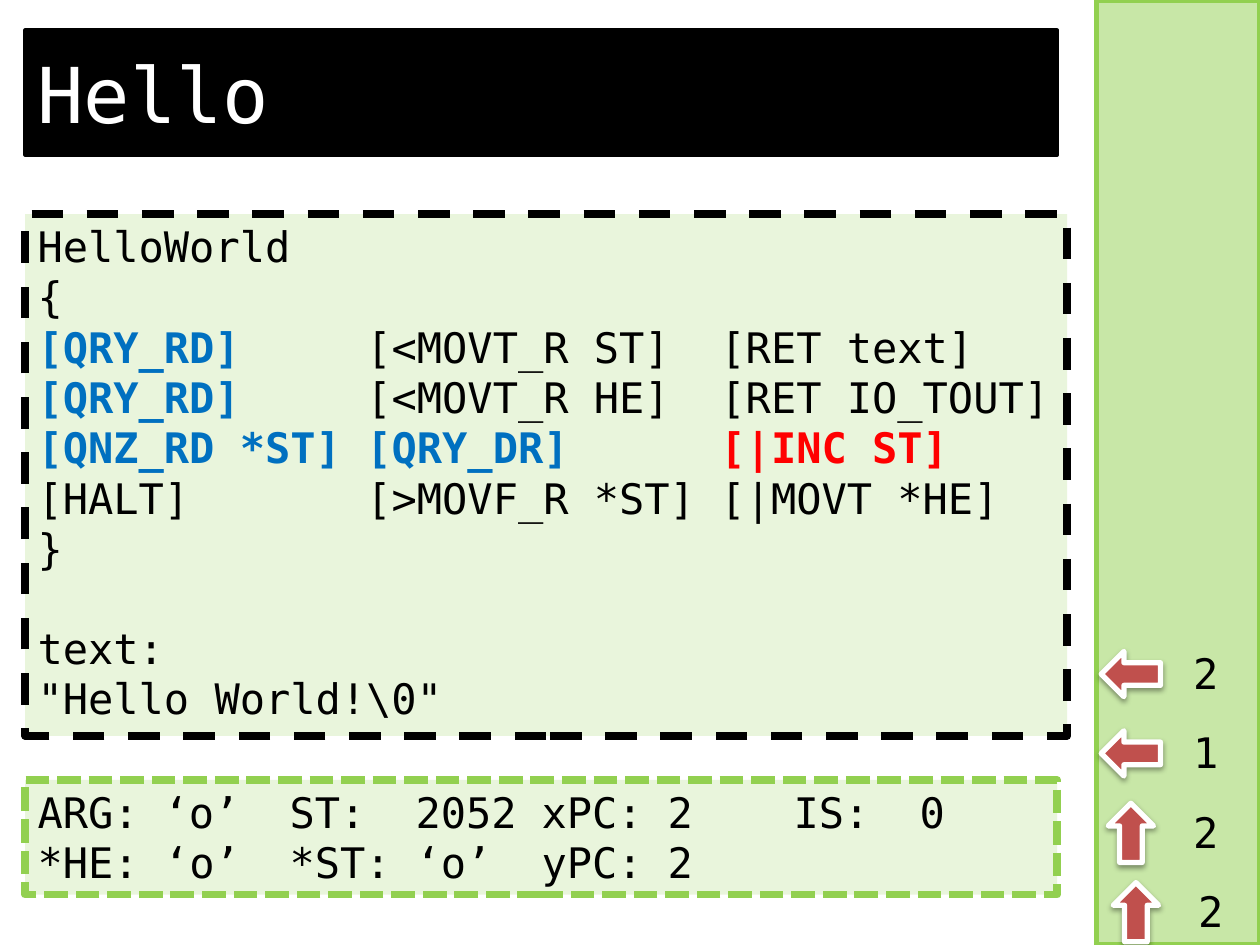
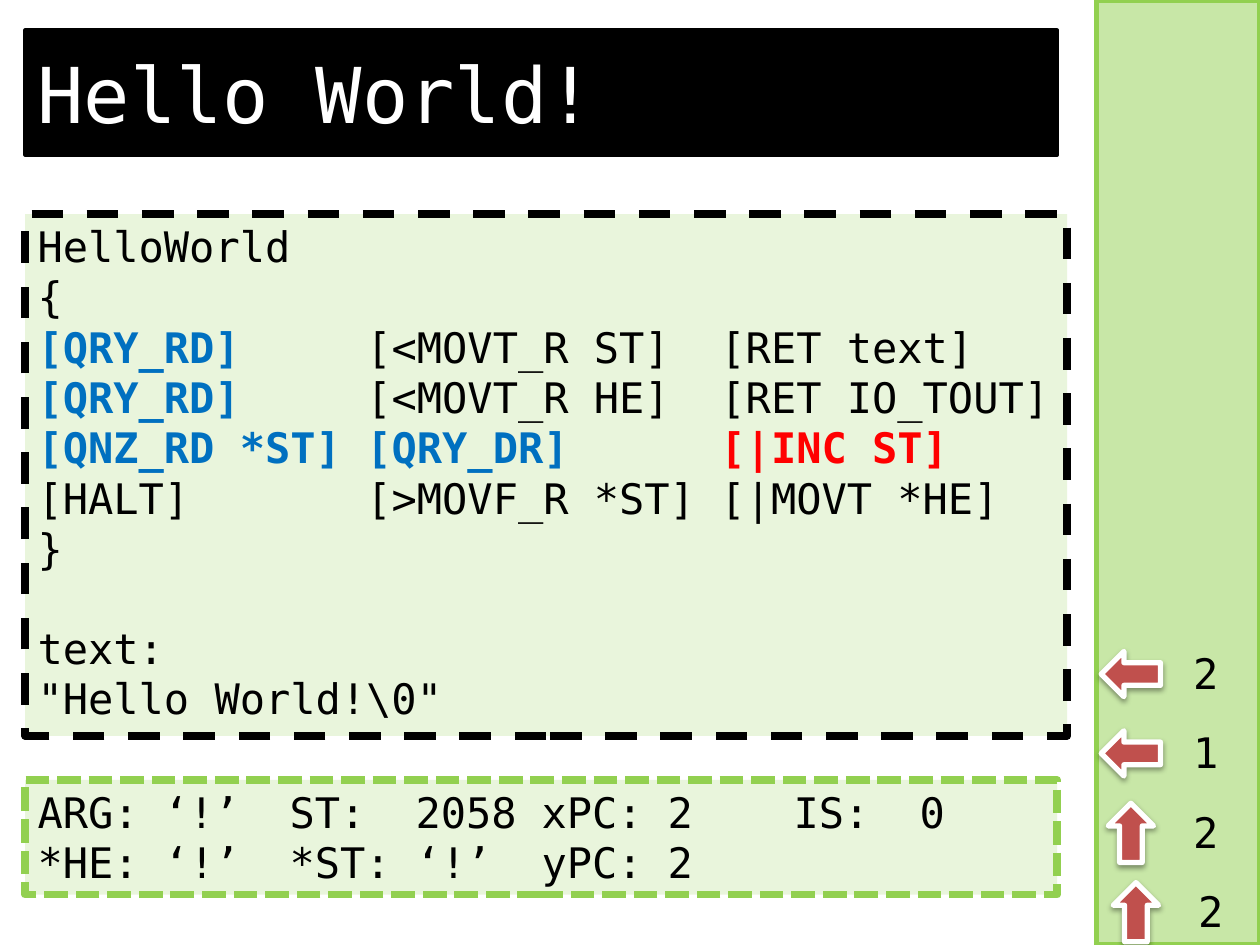
from pptx import Presentation
from pptx.dml.color import RGBColor
from pptx.enum.dml import MSO_LINE
from pptx.enum.shapes import MSO_SHAPE
from pptx.enum.text import MSO_ANCHOR, MSO_AUTO_SIZE, PP_ALIGN
from pptx.util import Inches, Pt
from lxml.etree import SubElement
from pptx.oxml.ns import qn

BLACK = RGBColor(0x00, 0x00, 0x00)
WHITE = RGBColor(0xFF, 0xFF, 0xFF)
GREEN = RGBColor(0x92, 0xD0, 0x50)
BLUE = RGBColor(0x00, 0x70, 0xC0)
RED = RGBColor(0xFF, 0x00, 0x00)
BRICK = RGBColor(0xC0, 0x50, 0x4D)
FONT = "DejaVu Sans Mono"
LEFT = 0.2
STOPS = (2.61, 5.42)

CODE = [
    [("HelloWorld", BLACK)],
    [("{", BLACK)],
    [("[QRY_RD]", BLUE), ("\t[<MOVT_R ST]\t[RET text]", BLACK)],
    [("[QRY_RD]", BLUE), ("\t[<MOVT_R HE]\t[RET IO_TOUT]", BLACK)],
    [("[QNZ_RD *ST]\t[QRY_DR]", BLUE), ("\t[|INC ST]", RED)],
    [("[HALT]\t[>MOVF_R *ST]\t[|MOVT *HE]", BLACK)],
    [("}", BLACK)],
    [("text:", BLACK)],
    [('"Hello World!\\0"', BLACK)],
]
STATES = [("Hello", "o", 2052), ("Hello World!", "!", 2058)]
MOVES = [(8.74, "2", 0), (8.74, "1", 0), (8.74, "2", 90), (8.78, "2", 90)]


def draw(shapes, kind, at, fill, line, width, alpha=100):
    shape = shapes.add_shape(kind, *[Inches(n) for n in at])
    shape.shadow.inherit = False
    shape.fill.solid()
    shape.fill.fore_color.rgb = fill
    if alpha < 100:
        color = shape.fill._xPr.find(qn("a:solidFill"))[0]
        SubElement(color, qn("a:alpha"), val=str(alpha * 1000))
    shape.line.color.rgb = line
    shape.line.width = Pt(width)
    shape.text_frame.word_wrap = True
    shape.text_frame.vertical_anchor = MSO_ANCHOR.TOP
    return shape


def write(par, runs, size=24, stops=()):
    par.alignment = PP_ALIGN.LEFT
    if stops:
        tabs = SubElement(par._p.get_or_add_pPr(), qn("a:tabLst"))
        for stop in stops:
            SubElement(tabs, qn("a:tab"), pos=str(Inches(stop)), algn="l")
    for text, color in runs:
        run = par.add_run()
        run.text = text
        run.font.name = FONT
        run.font.size = Pt(size)
        run.font.bold = color in (BLUE, RED)
        run.font.color.rgb = color


deck = Presentation()
deck.slide_width = Inches(10)
deck.slide_height = Inches(7.5)

for title, char, count in STATES:
    shapes = deck.slides.add_slide(deck.slide_layouts[6]).shapes

    code = draw(shapes, MSO_SHAPE.RECTANGLE, (LEFT, 1.7, 8.27, 4.14), GREEN, BLACK, 4.5, 20)
    code.line.dash_style = MSO_LINE.DASH
    frame = code.text_frame
    frame.auto_size = MSO_AUTO_SIZE.SHAPE_TO_FIT_TEXT
    for row, runs in enumerate(CODE):
        par = frame.add_paragraph() if row else frame.paragraphs[0]
        write(par, runs, stops=STOPS)
        if runs[0][0] == "text:":
            par.space_before = Pt(28)

    draw(shapes, MSO_SHAPE.RECTANGLE, (8.7, 0, 1.3, 7.5), GREEN, GREEN, 3, 50)

    state = draw(shapes, MSO_SHAPE.RECTANGLE, (LEFT, 6.19, 8.19, 0.91), GREEN, GREEN, 4.5, 20)
    state.line.dash_style = MSO_LINE.SQUARE_DOT
    state.text_frame.auto_size = MSO_AUTO_SIZE.SHAPE_TO_FIT_TEXT
    par = state.text_frame.paragraphs[0]
    write(par, [(f"ARG:\t‘{char}’\tST:\t{count}\txPC:\t2\tIS:\t0", BLACK)], stops=range(1, 8))
    par.add_line_break()
    write(par, [(f"*HE: ‘{char}’\t*ST:\t‘{char}’\tyPC:\t2", BLACK)])

    band = draw(shapes, MSO_SHAPE.RECTANGLE, (LEFT, 0.24, 8.19, 0.99), BLACK, BLACK, 2)
    band.text_frame.vertical_anchor = MSO_ANCHOR.MIDDLE
    write(band.text_frame.paragraphs[0], [(title, WHITE)], 44)

    for row, (left, label, turn) in reversed(list(enumerate(MOVES))):
        top = 5.17 + 0.63 * row
        group = shapes.add_group_shape().shapes
        arrow = draw(group, MSO_SHAPE.LEFT_ARROW, (left, top, 0.47, 0.36), BRICK, WHITE, 3)
        arrow.rotation = turn
        glow = SubElement(arrow._element.spPr.find(qn("a:effectLst")), qn("a:outerShdw"),
                          blurRad=str(Pt(3.1)), dist=str(Pt(1.6)), dir="5400000", rotWithShape="0")
        color = SubElement(glow, qn("a:srgbClr"), val=str(BLACK))
        SubElement(color, qn("a:alpha"), val="38000")
        note = group.add_textbox(Inches(left + 0.63), Inches(top - 0.08), Inches(0.59), Inches(0.5))
        note.text_frame.word_wrap = True
        note.text_frame.auto_size = MSO_AUTO_SIZE.SHAPE_TO_FIT_TEXT
        write(note.text_frame.paragraphs[0], [(label, BLACK)])

deck.save("out.pptx")
